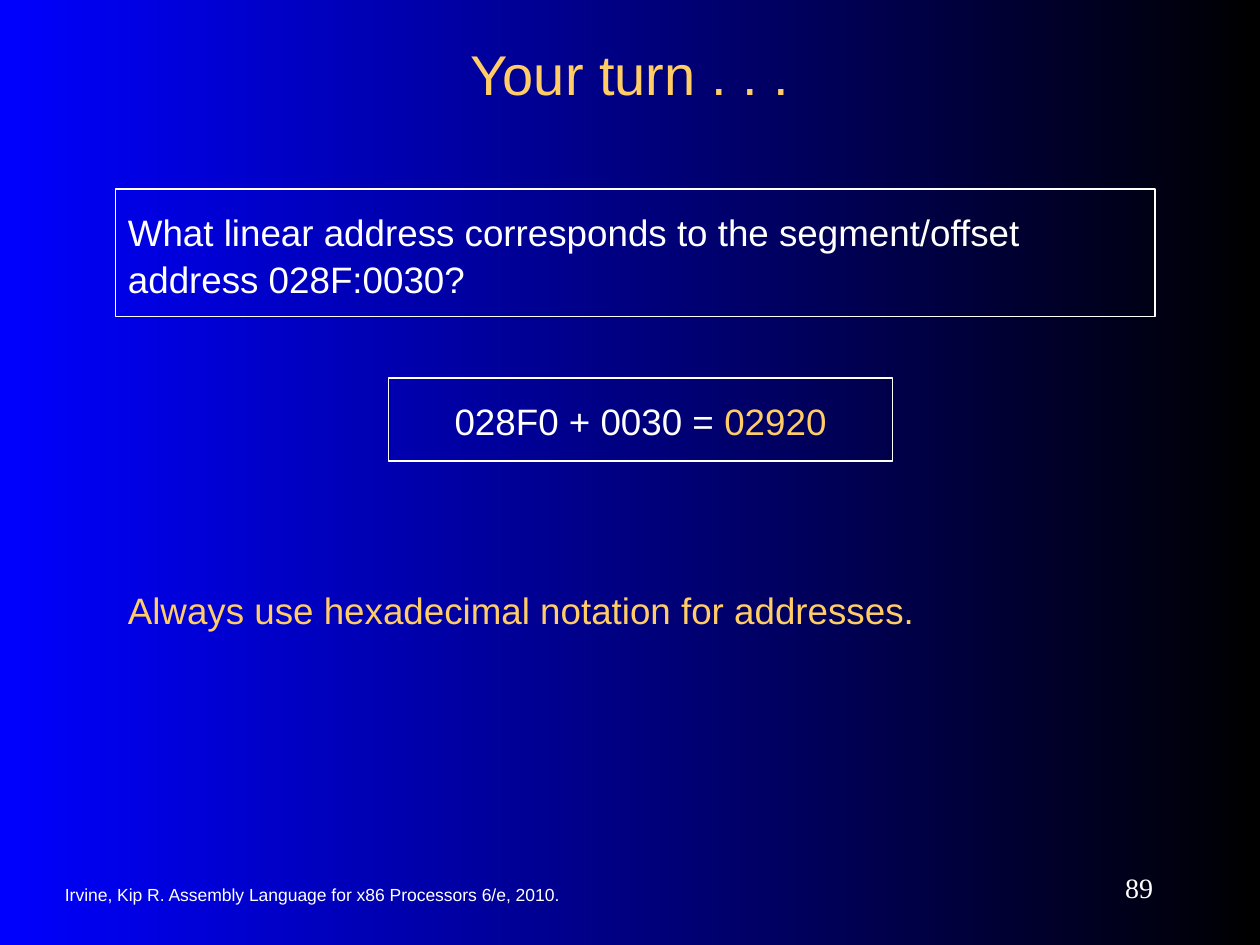
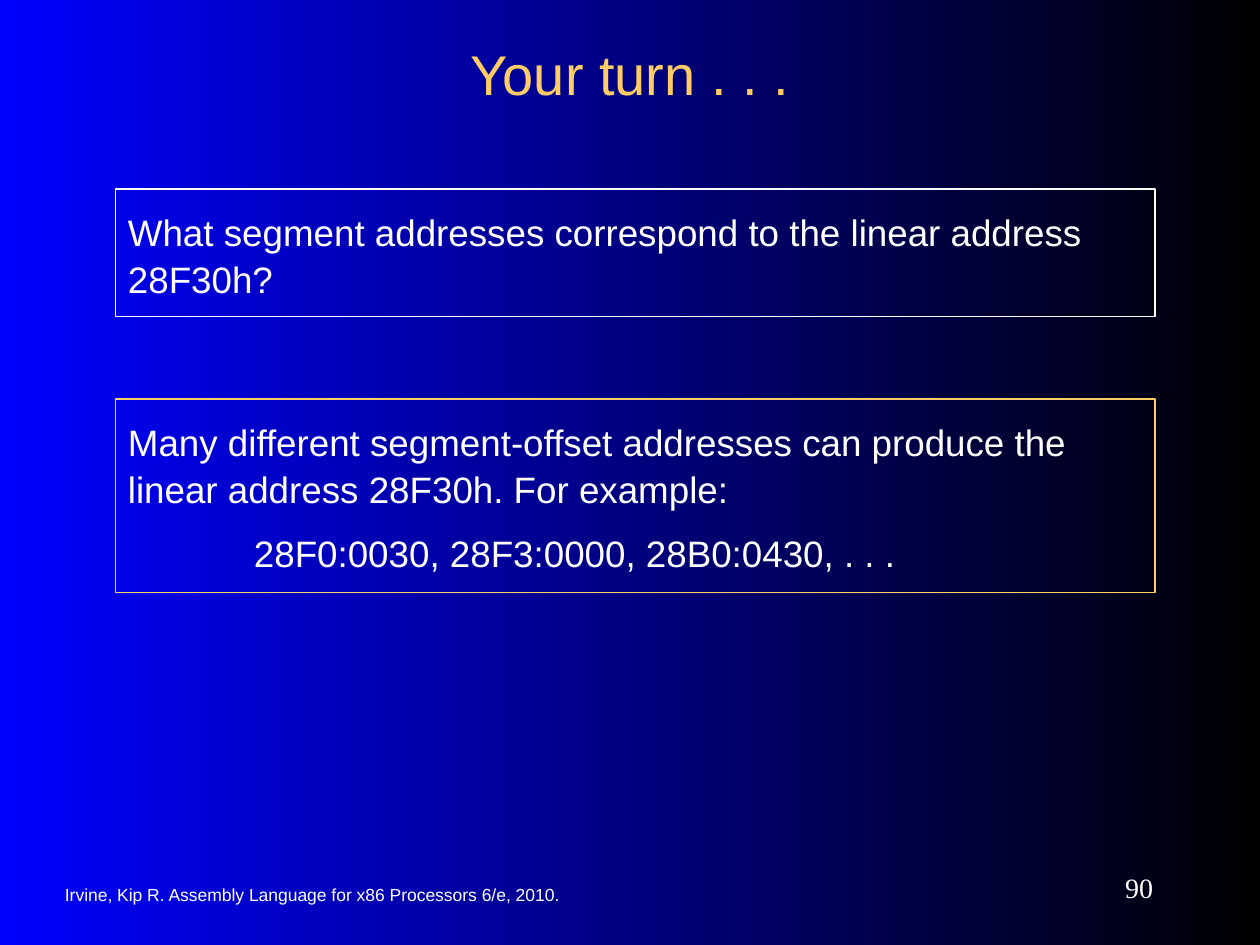
import pptx
import pptx.util
import pptx.dml.color
import pptx.enum.shapes
import pptx.enum.text

Pt = pptx.util.Pt
RGBColor = pptx.dml.color.RGBColor
ALIGN = pptx.enum.text.PP_ALIGN
ANCHOR = pptx.enum.text.MSO_ANCHOR

BLUE = RGBColor(0x00, 0x00, 0xFF)
BLACK = RGBColor(0x00, 0x00, 0x00)
WHITE = RGBColor(0xFF, 0xFF, 0xFF)
GOLD = RGBColor(0xFF, 0xCC, 0x66)

# Text styles: frame, paragraph and font formats
MARGINS = {"margin_left": Pt(7.2), "margin_right": Pt(7.2), "word_wrap": True}
LINE = {**MARGINS, "margin_top": Pt(3.6), "margin_bottom": Pt(3.6),
        "vertical_anchor": ANCHOR.MIDDLE}
BOX = {**MARGINS, "margin_top": Pt(10.8), "margin_bottom": Pt(10.8),
       "vertical_anchor": ANCHOR.TOP}
STYLES = {
    "title": (LINE, {"alignment": ALIGN.CENTER}, {"name": "Arial", "size": Pt(32)}),
    "footer": (LINE, {"alignment": ALIGN.LEFT}, {"name": "Arial", "size": Pt(10)}),
    "number": (LINE, {"alignment": ALIGN.RIGHT},
               {"name": "Times New Roman", "size": Pt(16)}),
    "body": (BOX, {"alignment": ALIGN.LEFT, "line_spacing": 1.05},
             {"name": "Arial", "size": Pt(21)}),
    "answer": (BOX, {"alignment": ALIGN.CENTER, "line_spacing": 1.05},
               {"name": "Arial", "size": Pt(21)}),
}

TITLE = "Your turn . . ."
FOOTER = "Irvine, Kip R. Assembly Language for x86 Processors 6/e, 2010."
QUESTION_AT = (66, 108, 594, 72.7)

# Each item: style, place, border colour, paragraphs of (text, colour) runs
SLIDES = [
    (89, [
        ("body", QUESTION_AT, WHITE, [
            [("What linear address corresponds to the segment/offset "
              "address 028F:0030?", WHITE)]]),
        ("answer", (222, 216, 288, 47.5), WHITE, [
            [("028F0 + 0030 = ", WHITE), ("02920", GOLD)]]),
        ("body", (66, 324, 528, 47), None, [
            [("Always use hexadecimal notation for addresses.", GOLD)]]),
    ]),
    (90, [
        ("body", QUESTION_AT, WHITE, [
            [("What segment addresses correspond to the linear address "
              "28F30h?", WHITE)]]),
        ("body", (66, 228, 594, 110.5), GOLD, [
            [("Many different segment-offset addresses can produce the "
              "linear address 28F30h. For example:", WHITE)],
            [("28F0:0030, 28F3:0000, 28B0:0430, . . .", WHITE)]]),
    ]),
]


def set_all(target, values):
    for name, value in values.items():
        setattr(target, name, value)


def add_text(slide, style, at, border, paragraphs):
    at = [Pt(v) for v in at]
    if border is None:
        sp = slide.shapes.add_textbox(*at)
    else:
        sp = slide.shapes.add_shape(pptx.enum.shapes.MSO_SHAPE.RECTANGLE, *at)
        sp.shadow.inherit = False
        sp.fill.background()
        sp.line.color.rgb = border
        sp.line.width = Pt(0.75)
    frame, para, font = STYLES[style]
    tf = sp.text_frame
    set_all(tf, frame)
    for i, runs in enumerate(paragraphs):
        p = tf.add_paragraph() if i else tf.paragraphs[0]
        set_all(p, para)
        if i:
            # Follow-on paragraphs are spaced and indented
            p.space_before = Pt(10.5)
            p._p.get_or_add_pPr().set("marL", str(Pt(72)))
        for text, color in runs:
            r = p.add_run()
            r.text = text
            set_all(r.font, font)
            r.font.color.rgb = color


prs = pptx.Presentation()
prs.slide_width, prs.slide_height = Pt(720), Pt(540)

# Shared background: blue to black, left to right
fill = prs.slide_master.background.fill
fill.gradient()
fill.gradient_angle = 0
for stop, position, color in zip(fill.gradient_stops, (0, 1), (BLUE, BLACK)):
    stop.position = position
    stop.color.rgb = color

for number, items in SLIDES:
    slide = prs.slides.add_slide(prs.slide_layouts[6])

    # Footer, slide number and title
    add_text(slide, "footer", (30, 499, 342, 24), None, [[(FOOTER, WHITE)]])
    add_text(slide, "number", (588, 492, 78, 30), None, [[(str(number), WHITE)]])
    add_text(slide, "title", (54, 18, 612, 48), None, [[(TITLE, GOLD)]])

    # Question and answer
    for item in items:
        add_text(slide, *item)

prs.save("out.pptx")
